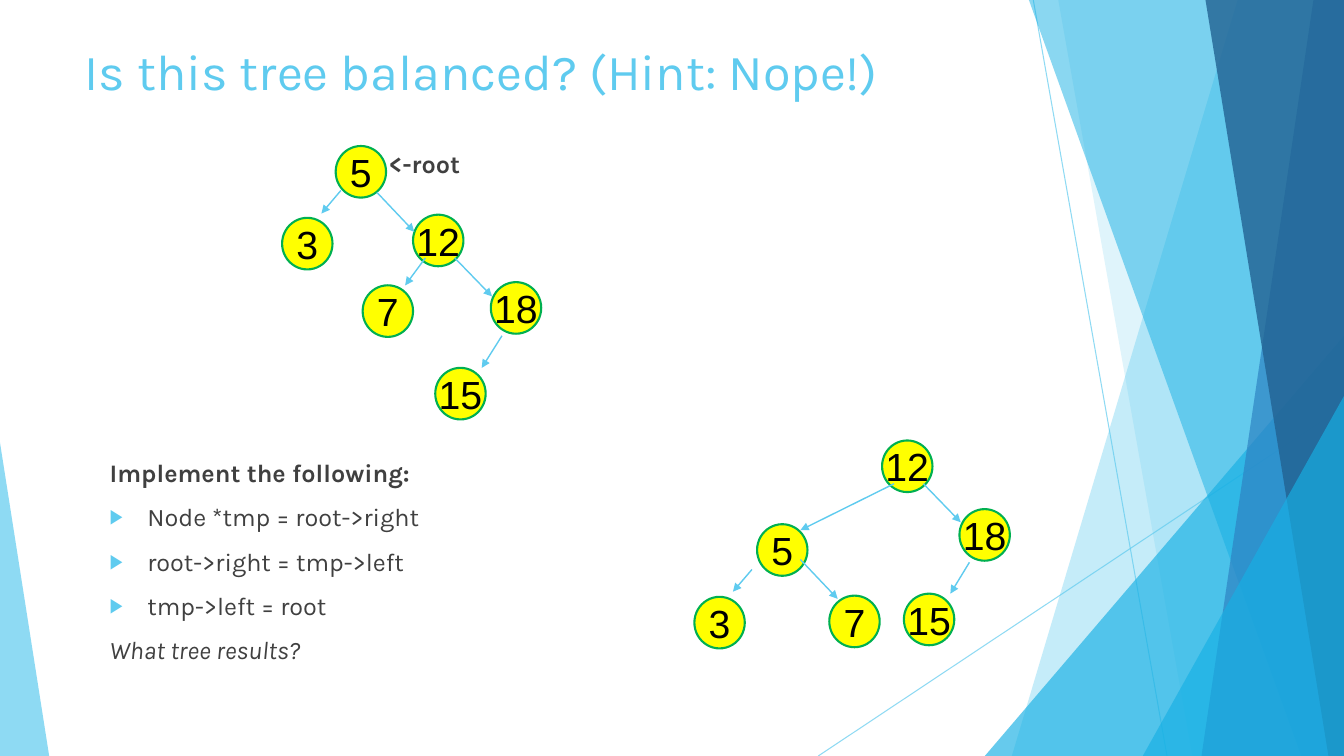
from dataclasses import dataclass

from lxml import etree
from pptx import Presentation
from pptx.dml.color import RGBColor
from pptx.enum.shapes import MSO_CONNECTOR, MSO_SHAPE
from pptx.enum.text import MSO_ANCHOR, PP_ALIGN
from pptx.oxml.ns import qn
from pptx.util import Cm, Pt

STRAIGHT = MSO_CONNECTOR.STRAIGHT
OVAL = MSO_SHAPE.OVAL
TRIANGLE = MSO_SHAPE.ISOSCELES_TRIANGLE
TOP, MIDDLE = MSO_ANCHOR.TOP, MSO_ANCHOR.MIDDLE
LEFT, CENTER = PP_ALIGN.LEFT, PP_ALIGN.CENTER


@dataclass(frozen=True)
class Theme:
    sky: str = "5FCBEF"
    cyan: str = "17B0E4"
    blue: str = "2E83C3"
    navy: str = "226292"
    ink: str = "404040"
    black: str = "000000"
    node_fill: str = "FFFF00"
    node_line: str = "00B050"
    text_font: str = "Karla"
    node_font: str = "Arial"
    title_size: int = 36
    node_size: int = 28
    body_size: int = 18


THEME = Theme()
PAGE_WIDTH, PAGE_HEIGHT = 33.87, 19.05
NODE_WIDTH, NODE_HEIGHT = 1.27, 1.3

BANDS_BEHIND = [(31.19, 25.5, THEME.sky, 36), (26.67, 30.05, THEME.sky, 20)]
BANDS_FRONT = [
    (25.93, 32.79, THEME.cyan, 50),
    (33.1, 30.28, THEME.blue, 70),
    (30.38, 33.48, THEME.navy, 80),
]

UNBALANCED_NODES = {
    "5": (8.46, 3.68), "3": (7.11, 5.49), "12": (10.41, 5.41),
    "18": (12.37, 7.11), "7": (9.14, 7.19), "15": (10.97, 9.27),
}
UNBALANCED_ARROWS = [
    (9.5, 4.85, 10.44, 5.84), (11.46, 6.5, 12.4, 7.47), (10.72, 6.5, 10.21, 7.19),
    (8.59, 4.8, 8.1, 5.38), (12.65, 8.46, 12.14, 9.27),
]
BALANCED_NODES = {
    "5": (19.08, 13.21), "3": (17.5, 15.04), "12": (22.23, 11.1),
    "18": (24.18, 12.83), "7": (20.9, 15.01), "15": (22.78, 14.96),
}
BALANCED_ARROWS = [
    (20.17, 14.1, 21.11, 15.09), (23.27, 12.19, 24.21, 13.16), (22.53, 12.19, 20.17, 13.36),
    (18.95, 14.35, 18.47, 14.91), (24.43, 14.17, 23.95, 14.96),
]

STEPS = [
    ("Implement the following:", {"bold": True}),
    ("Node *tmp = root->right", {"bullet": True}),
    ("root->right = tmp->left", {"bullet": True}),
    ("tmp->left = root", {"bullet": True}),
    ("What tree results?", {"italic": True}),
]


def add_bullet(para):
    properties = para._p.get_or_add_pPr()
    properties.set("marL", str(Cm(0.95)))
    properties.set("indent", str(-Cm(0.95)))
    color = etree.SubElement(properties, qn("a:buClr"))
    etree.SubElement(color, qn("a:srgbClr"), val=THEME.sky)
    etree.SubElement(properties, qn("a:buSzPct"), val="80000")
    etree.SubElement(properties, qn("a:buFont"), typeface=THEME.node_font)
    etree.SubElement(properties, qn("a:buChar"), char="▶")


def remove_bullet(para):
    properties = para._p.get_or_add_pPr()
    properties.set("marL", "0")
    properties.set("indent", "0")
    etree.SubElement(properties, qn("a:buNone"))


def write_text(para, text, size=THEME.body_size, font=THEME.text_font, color=THEME.ink,
               bold=False, italic=False, align=LEFT, before=0, bullet=False):
    if bullet:
        add_bullet(para)
    else:
        remove_bullet(para)
    para.alignment = align
    para.space_before = Pt(before)
    span = para.add_run()
    span.text = text
    span.font.size = Pt(size)
    span.font.name = font
    span.font.bold = bold
    span.font.italic = italic
    span.font.color.rgb = RGBColor.from_string(color)


def place(box, left, top, width, height):
    box.left, box.top, box.width, box.height = Cm(left), Cm(top), Cm(width), Cm(height)
    box.text_frame.word_wrap = True
    box.text_frame.vertical_anchor = TOP
    box.element.getparent().append(box.element)


def set_opacity(format_owner, percent):
    color = format_owner.find(".//" + qn("a:srgbClr"))
    etree.SubElement(color, qn("a:alpha"), val=str(percent * 1000))


def paint(shape, color, opacity):
    shape.shadow.inherit = False
    shape.fill.solid()
    shape.fill.fore_color.rgb = RGBColor.from_string(color)
    set_opacity(shape.element.spPr, opacity)
    shape.line.fill.background()


def add_band(page, top_x, bottom_x, color, opacity):
    outline = page.shapes.build_freeform(Cm(top_x), Cm(0))
    outline.add_line_segments([
        (Cm(PAGE_WIDTH), Cm(0)),
        (Cm(PAGE_WIDTH), Cm(PAGE_HEIGHT)),
        (Cm(bottom_x), Cm(PAGE_HEIGHT)),
    ])
    paint(outline.convert_to_shape(), color, opacity)


def add_triangle(page, left, top, width, apex, color, opacity):
    shape = page.shapes.add_shape(
        TRIANGLE, Cm(left), Cm(top), Cm(width), Cm(PAGE_HEIGHT - top))
    shape.adjustments[0] = apex
    paint(shape, color, opacity)


def add_line(page, start_x, start_y, end_x, end_y, width):
    line = page.shapes.add_connector(
        STRAIGHT, Cm(start_x), Cm(start_y), Cm(end_x), Cm(end_y))
    line.line.width = Pt(width)
    line.line.color.rgb = RGBColor.from_string(THEME.sky)
    etree.SubElement(line.element.spPr, qn("a:effectLst"))
    return line


def add_arrow(page, *ends):
    arrow = add_line(page, *ends, width=1)
    etree.SubElement(arrow.line._get_or_add_ln(), qn("a:tailEnd"), type="triangle")


def add_node(page, label, left, top):
    node = page.shapes.add_shape(OVAL, Cm(left), Cm(top), Cm(NODE_WIDTH), Cm(NODE_HEIGHT))
    node.shadow.inherit = False
    node.fill.solid()
    node.fill.fore_color.rgb = RGBColor.from_string(THEME.node_fill)
    node.line.color.rgb = RGBColor.from_string(THEME.node_line)
    node.line.width = Pt(1.5)
    frame = node.text_frame
    frame.word_wrap = False
    frame.vertical_anchor = MIDDLE
    frame.margin_left = frame.margin_right = frame.margin_top = frame.margin_bottom = 0
    write_text(frame.paragraphs[0], label, size=THEME.node_size, font=THEME.node_font,
               color=THEME.black, align=CENTER)


def add_tree(page, nodes, arrows):
    for label, (left, top) in nodes.items():
        add_node(page, label, left, top)
    for ends in arrows:
        add_arrow(page, *ends)


def add_backdrop(page):
    for ends in [(26.04, 0, 29.41, PAGE_HEIGHT), (PAGE_WIDTH, 10.24, 20.62, PAGE_HEIGHT)]:
        line = add_line(page, *ends, width=0.75)
        set_opacity(line.element.spPr, 70)
    for band in BANDS_BEHIND:
        add_band(page, *band)
    add_triangle(page, 24.82, 8.46, 9.05, 1, THEME.cyan, 66)
    for band in BANDS_FRONT:
        add_band(page, *band)
    add_triangle(page, 28.8, 9.98, 5.07, 1, THEME.cyan, 66)
    add_triangle(page, 0, 11.15, 1.24, 0, THEME.sky, 70)


def main():
    deck = Presentation()
    deck.slide_width, deck.slide_height = Cm(PAGE_WIDTH), Cm(PAGE_HEIGHT)
    page = deck.slides.add_slide(deck.slide_layouts[1])
    add_backdrop(page)

    title = page.shapes.title
    place(title, 1.88, 0.89, 23.88, 2.18)
    write_text(title.text_frame.paragraphs[0], "Is this tree balanced? (Hint: Nope!)",
               size=THEME.title_size, color=THEME.sky)

    body = page.placeholders[1]
    place(body, 2.51, 11.4, 9.58, 5.23)
    for index, (text, style) in enumerate(STEPS):
        para = body.text_frame.add_paragraph() if index else body.text_frame.paragraphs[0]
        write_text(para, text, before=10 if index else 0, **style)

    add_tree(page, UNBALANCED_NODES, UNBALANCED_ARROWS)
    add_tree(page, BALANCED_NODES, BALANCED_ARROWS)

    root_label = page.shapes.add_textbox(0, 0, 0, 0)
    place(root_label, 9.55, 3.61, 3.15, 1.04)
    write_text(root_label.text_frame.paragraphs[0], "<-root", bold=True)
    deck.save("out.pptx")


if __name__ == "__main__":
    main()
